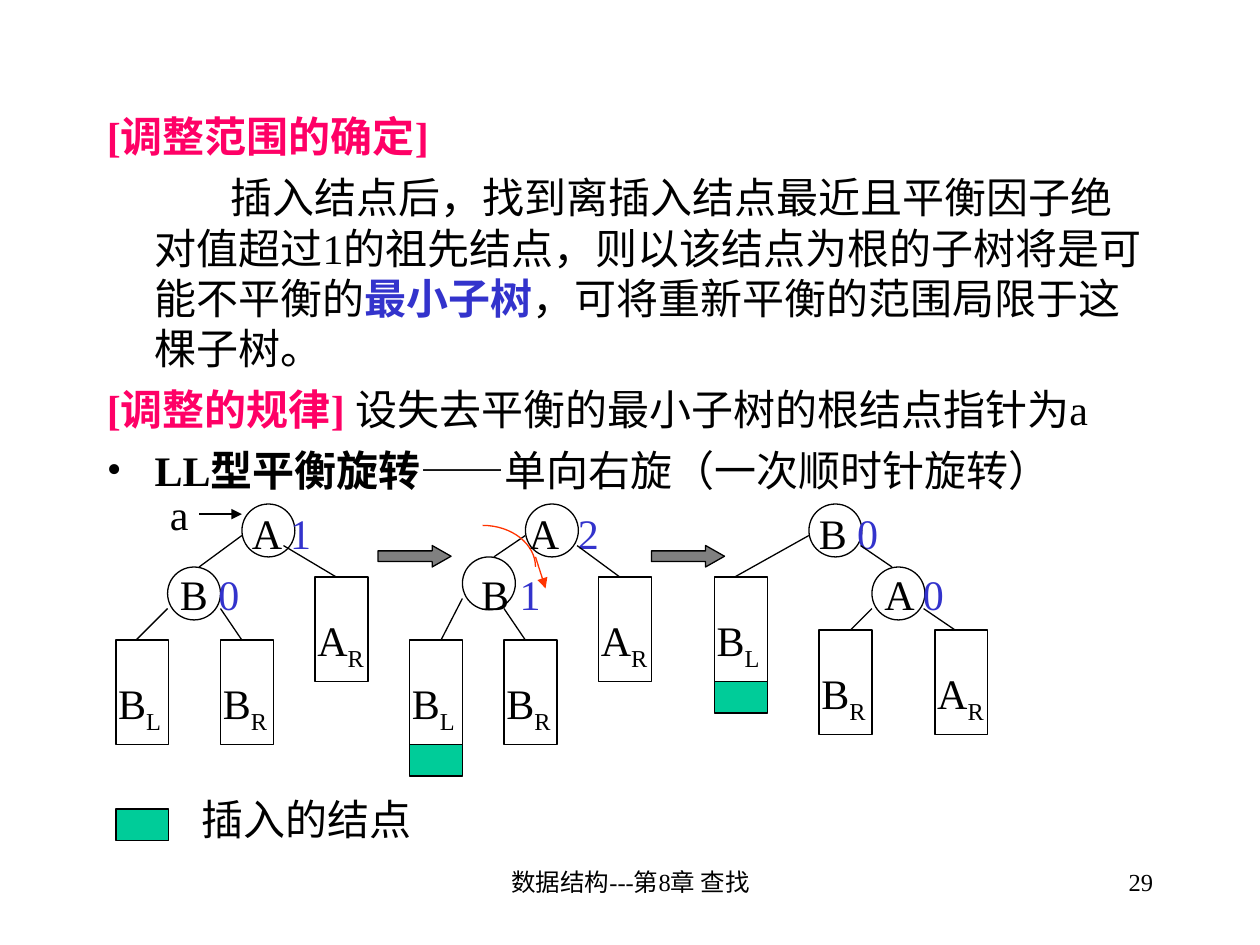
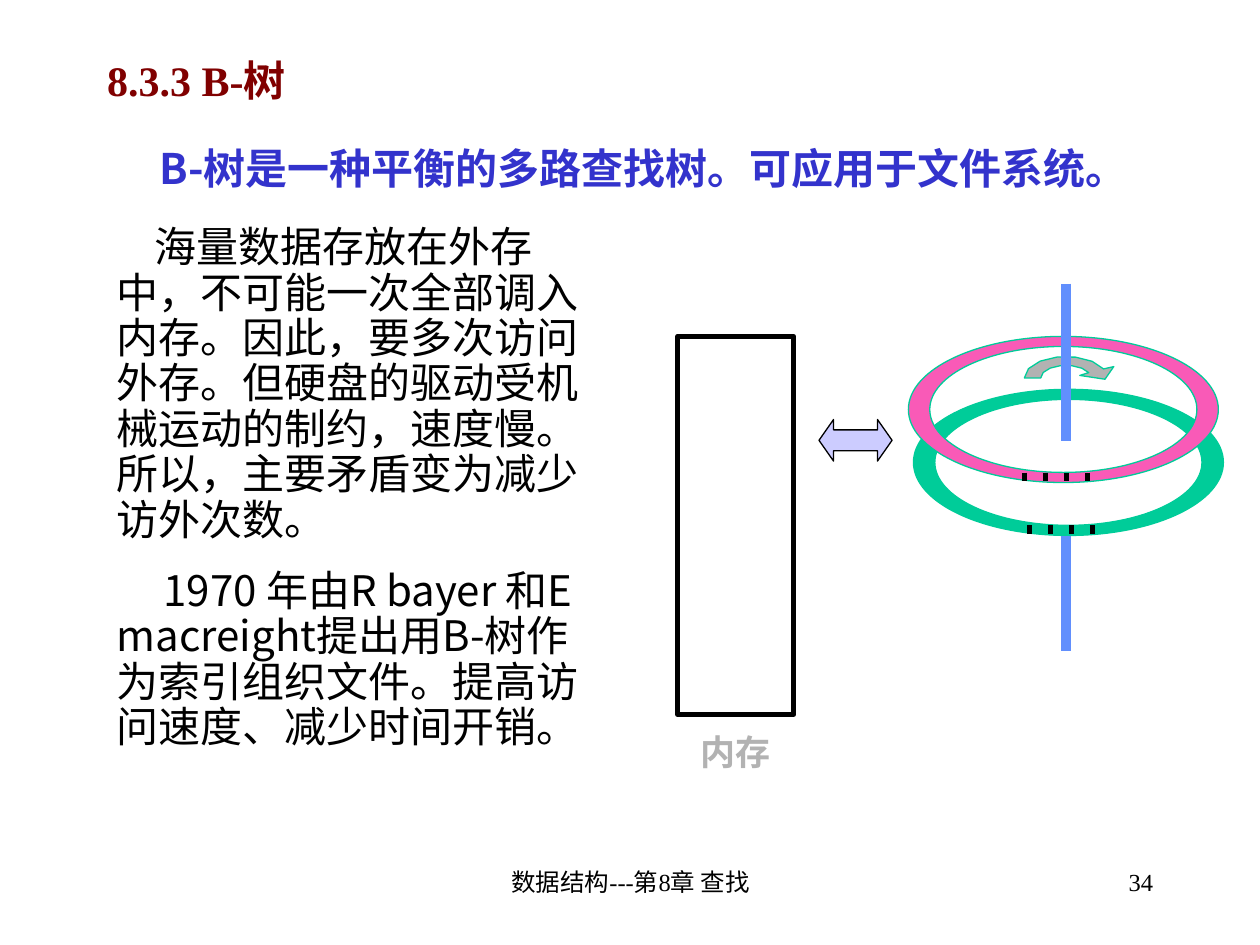
from dataclasses import dataclass
from math import cos, radians, sin

from lxml.etree import SubElement
from pptx import Presentation
from pptx.dml.color import RGBColor
from pptx.enum.shapes import MSO_CONNECTOR, MSO_SHAPE
from pptx.enum.text import MSO_ANCHOR, MSO_AUTO_SIZE, PP_ALIGN
from pptx.oxml.ns import qn
from pptx.util import Inches, Pt

COLORS = {
    "black": "000000", "white": "FFFFFF", "pink": "FF0066", "blue": "3333CC",
    "maroon": "800000", "green": "00CC99", "gray": "808080", "red": "FF3300",
    "magenta": "F95AB7", "silver": "B2B2B2", "rod": "618FFD", "lilac": "CCCCFF",
}
SERIF, SANS, ARIAL = "Times New Roman", "Noto Sans CJK SC", "Arial"
TITLE_ONLY, BLANK = 5, 6
FOOTER = "数据结构---第8章 查找"
NODE, BLOCK_H, INSERTED_H = 0.42, 0.83, 0.25
ROW_1, ROW_2 = 3.98, 4.46  # tops of the node labels
BEZIER = 0.5523  # handle length of a quarter circle


@dataclass(frozen=True)
class Run:
    text: str
    color: str = "black"
    bold: bool = False
    font: str = SERIF
    size: float = 24
    subscript: bool = False
    spacing: float = 0


@dataclass(frozen=True)
class Para:
    runs: tuple[Run, ...]
    margin: float = 0
    indent: float = 0
    before: float = 0
    line_spacing: float | None = None
    align: PP_ALIGN = PP_ALIGN.LEFT
    bullet: str = ""


@dataclass(frozen=True)
class Node:
    """A circle, with its name and balance factor written at its own place."""
    x: float
    y: float
    label_x: float
    label_y: float
    name: str
    factor: int
    spacing: float = 0


@dataclass(frozen=True)
class Block:
    """A subtree, named by its root and its side; it may have grown by a node."""
    x: float
    y: float
    root: str
    side: str
    grown: bool = False


@dataclass(frozen=True)
class Tree:
    nodes: tuple[Node, ...]
    blocks: tuple[Block, ...]
    edges: tuple[tuple[float, float, float, float], ...]


@dataclass(frozen=True)
class Disk:
    cx: float
    cy: float
    color: str


TREES = (
    Tree((Node(1.92, 4, 1.9, ROW_1, "A", 1), Node(1.33, 4.5, 1.33, ROW_2, "B", 0)),
         (Block(0.92, 5.08, "B", "L"), Block(1.75, 5.08, "B", "R"),
          Block(2.5, 4.58, "A", "R")),
         ((1.92, 4.25, 1.58, 4.5), (1.33, 4.83, 1.08, 5.08),
          (1.75, 4.83, 1.92, 5.08), (2.25, 4.33, 2.67, 4.58))),
    Tree((Node(4.17, 4, 4.1, ROW_1, "A", 2, 3), Node(3.67, 4.42, 3.72, ROW_2, "B", 1)),
         (Block(3.25, 5.08, "B", "L", True), Block(4, 5.08, "B", "R"),
          Block(4.75, 4.58, "A", "R")),
         ((4.17, 4.25, 3.92, 4.42), (3.67, 4.75, 3.5, 5.08),
          (4, 4.83, 4.17, 5.08), (4.58, 4.33, 4.92, 4.58))),
    Tree((Node(6.42, 4, 6.4, ROW_1, "B", 0), Node(6.92, 4.5, 6.92, ROW_2, "A", 0)),
         (Block(5.67, 4.58, "B", "L", True), Block(6.5, 5, "B", "R"),
          Block(7.42, 5, "A", "R")),
         ((6.42, 4.25, 5.83, 4.58), (6.83, 4.33, 7.08, 4.5),
          (6.92, 4.83, 6.75, 5), (7.33, 4.83, 7.58, 5))),
)
DISKS = (Disk(8.48, 3.67, "green"), Disk(8.44, 3.25, "magenta"))


def rgb(name: str) -> RGBColor:
    return RGBColor.from_string(COLORS[name])


def write(tf, paras: list[Para]) -> None:
    tf.word_wrap = True
    tf.auto_size = MSO_AUTO_SIZE.NONE
    for i, para in enumerate(paras):
        p = tf.add_paragraph() if i else tf.paragraphs[0]
        p.alignment = para.align
        p.space_before = Pt(para.before if i else 0)
        if para.line_spacing:
            p.line_spacing = para.line_spacing
        pPr = p._p.get_or_add_pPr()
        pPr.set("marL", str(Inches(para.margin)))
        pPr.set("indent", str(Inches(para.indent)))
        pPr.set("hangingPunct", "0")
        if para.bullet:
            SubElement(pPr, qn("a:buFont"), typeface=SERIF)
            SubElement(pPr, qn("a:buChar"), char=para.bullet)
        for run in para.runs:
            r = p.add_run()
            r.text = run.text
            r.font.name, r.font.size, r.font.bold = run.font, Pt(run.size), run.bold
            r.font.color.rgb = rgb(run.color)
            rPr = r._r.get_or_add_rPr()
            SubElement(rPr, qn("a:ea"), typeface=SANS)
            if run.subscript:
                rPr.set("baseline", "-25000")
            if run.spacing:
                rPr.set("spc", str(round(run.spacing * 100)))


def add_text(s, x: float, y: float, w: float, h: float, *paras: Para) -> None:
    sp = s.shapes.add_textbox(Inches(x), Inches(y), Inches(w), Inches(h))
    write(sp.text_frame, list(paras))


def paint(sp, fill: str | None, line: str, width: float) -> None:
    sp.shadow.inherit = False
    if fill:
        sp.fill.solid()
        sp.fill.fore_color.rgb = rgb(fill)
    else:
        sp.fill.background()
    sp.line.color.rgb = rgb(line)
    sp.line.width = Pt(width)


def add_shape(s, kind: MSO_SHAPE, x: float, y: float, w: float, h: float,
              fill: str | None = None, width: float = 0.75, head: float | None = None) -> None:
    sp = s.shapes.add_shape(kind, Inches(x), Inches(y), Inches(w), Inches(h))
    if head is not None:
        sp.adjustments[1] = head
    paint(sp, fill, "black", width)


def add_line(s, x1: float, y1: float, x2: float, y2: float,
             color: str = "black", width: float = 0.75, arrow: bool = False) -> None:
    line = s.shapes.add_connector(MSO_CONNECTOR.STRAIGHT, Inches(x1), Inches(y1),
                                  Inches(x2), Inches(y2))
    line.line.color.rgb = rgb(color)
    line.line.width = Pt(width)
    if arrow:
        SubElement(line.line._get_or_add_ln(), qn("a:tailEnd"), type="triangle")
    SubElement(line._element.spPr, qn("a:effectLst"))


def arc_points(cx: float, cy: float, rx: float, ry: float, start: int, end: int) -> list:
    """Points along an ellipse, in degrees counted anticlockwise from the right."""
    steps = 6
    angles = [radians(start + (end - start) * i / steps) for i in range(steps + 1)]
    return [(Inches(cx + rx * cos(a)), Inches(cy - ry * sin(a))) for a in angles]


def quarter_curves(cx: float, cy: float, rx: float, ry: float, quarters: int) -> list:
    """Ends and handles of quarter ellipses, clockwise from the top."""
    units = [(0, -1)]
    for i in range(quarters):
        a, b = radians(90 * i), radians(90 * (i + 1))
        units += [(sin(a) + BEZIER * cos(a), -cos(a) + BEZIER * sin(a)),
                  (sin(b) - BEZIER * cos(b), -cos(b) - BEZIER * sin(b)),
                  (sin(b), -cos(b))]
    return [(Inches(cx + rx * x), Inches(cy + ry * y)) for x, y in units]


def bend(sp) -> None:
    """Turn each three line segments into one curve."""
    lines = list(sp._element.iter(qn("a:lnTo")))
    for i in range(0, len(lines), 3):
        curve, *others = lines[i:i + 3]
        curve.tag = qn("a:cubicBezTo")
        for other in others:
            curve.append(other[0])
            other.getparent().remove(other)


def add_outline(s, contours: list[list], fill: str | None, line: str,
                close: bool = True, curved: bool = True) -> None:
    first, *others = contours
    builder = s.shapes.build_freeform(*first[0])
    builder.add_line_segments(first[1:], close=close)
    for contour in others:
        builder.move_to(*contour[0])
        builder.add_line_segments(contour[1:], close=close)
    sp = builder.convert_to_shape()
    if curved:
        bend(sp)
    paint(sp, fill, line, 0.75)


def add_footer(s, number: int) -> None:
    add_text(s, 3.42, 6.83, 3.17, 0.5, Para((Run(FOOTER, size=14),), align=PP_ALIGN.CENTER))
    add_text(s, 7.17, 6.83, 2.08, 0.5, Para((Run(str(number), size=14),), align=PP_ALIGN.RIGHT))


def add_inserted(s, x: float, y: float) -> None:
    add_shape(s, MSO_SHAPE.RECTANGLE, x, y, NODE, INSERTED_H, "green")


def add_tree(s, tree: Tree) -> None:
    for n in tree.nodes:
        add_shape(s, MSO_SHAPE.OVAL, n.x, n.y, NODE, NODE)
        add_text(s, n.label_x, n.label_y, 0.9, 0.5,
                 Para((Run(n.name + " ", spacing=n.spacing), Run(str(n.factor), "blue"))))
    for edge in tree.edges:
        add_line(s, *edge)
    for b in tree.blocks:
        add_shape(s, MSO_SHAPE.RECTANGLE, b.x, b.y, NODE, BLOCK_H)
        add_text(s, b.x - 0.08, b.y + 0.25, 0.67, 0.56,
                 Para((Run(b.root), Run(b.side, subscript=True))))
        if b.grown:
            add_inserted(s, b.x, b.y + BLOCK_H)


def add_disk(s, disk: Disk) -> None:
    rings = [quarter_curves(disk.cx, disk.cy, rx, ry, 4)
             for rx, ry in ((1.23, 0.58), (1.06, 0.5))]
    add_outline(s, rings, disk.color, "green")
    for i in range(4):
        x = disk.cx - 0.31 + i / 6
        add_line(s, x, disk.cy + 0.5, x, disk.cy + 0.57, width=3)


def build_rotation(prs) -> None:
    s = prs.slides.add_slide(prs.slide_layouts[BLANK])
    add_footer(s, 29)
    hanging = {"margin": 0.38, "indent": -0.38, "before": 6}
    add_text(
        s, 0.75, 0.83, 8.5, 3.1,
        Para((Run("[调整范围的确定]", "pink", True),), **hanging),
        Para((Run("插入结点后，找到离插入结点最近且平衡因子绝对值超过1的祖先结点，"
                  "则以该结点为根的子树将是可能不平衡的"),
              Run("最小子树", "blue", True),
              Run("，可将重新平衡的范围局限于这棵子树。")),
             margin=0.38, indent=0.6, before=6),
        Para((Run("[调整的规律] ", "pink", True),
              Run("设失去平衡的最小子树的根结点指针为a")), **hanging),
        Para((Run("LL型平衡旋转", bold=True), Run("——单向右旋（一次顺时针旋转）")),
             bullet="•", **hanging),
    )
    for tree in TREES:
        add_tree(s, tree)
    for x in (3, 5.17):
        add_shape(s, MSO_SHAPE.RIGHT_ARROW, x, 4.33, 0.58, 0.17, "gray", head=0.88)

    add_inserted(s, 0.92, 6.42)
    add_text(s, 1.5, 6.25, 2, 0.5, Para((Run("插入的结点"),)))
    add_text(s, 1.25, 3.83, 0.42, 0.5, Para((Run("a"),)))
    add_line(s, 1.58, 4.08, 1.92, 4.08, arrow=True)
    add_outline(s, [quarter_curves(3.83, 4.5, 0.42, 0.33, 1)], None, "red", close=False)
    add_line(s, 4.25, 4.42, 4.33, 4.67, "red", arrow=True)


def build_b_tree(prs) -> None:
    s = prs.slides.add_slide(prs.slide_layouts[TITLE_ONLY])
    add_footer(s, 34)
    title = s.shapes.title
    title.left, title.top = Inches(0.75), Inches(0.42)
    title.width, title.height = Inches(8.5), Inches(0.42)
    title.text_frame.vertical_anchor = MSO_ANCHOR.MIDDLE
    write(title.text_frame, [Para((Run("8.3.3 B-树", "maroon", True),))])

    add_text(s, 0.83, 1.08, 8.5, 0.83,
             Para((Run("B-树是一种平衡的多路查找树。可应用于文件系统。", "blue", True, SANS),),
                  indent=0.34))
    add_text(
        s, 0.83, 1.75, 4, 4.27,
        Para((Run("海量数据存放在外存中，不可能一次全部调入内存。因此，要多次访问外存。"
                  "但硬盘的驱动受机械运动的制约，速度慢。所以，主要矛盾变为减少访外次数。",
                  font=SANS),), indent=0.3, line_spacing=0.9),
        Para((Run("1970 年由R bayer 和E macreight提出用B-树作为索引组织文件。"
                  "提高访问速度、减少时间开销。", font=SANS),),
             indent=0.37, before=15, line_spacing=0.9),
    )

    for disk in DISKS:
        add_disk(s, disk)
    tip = [(Inches(x), Inches(y)) for x, y in ((8.84, 2.91), (8.77, 3.01), (8.57, 2.98))]
    spin = (arc_points(8.46, 3, 0.33, 0.17, 180, 25) + tip
            + arc_points(8.46, 3, 0.2, 0.1, 25, 180))
    add_outline(s, [spin], "silver", "green", curved=False)
    for top, bottom in ((2.25, 3.5), (4.25, 5.17)):
        add_line(s, 8.46, top, 8.46, bottom, "rod", 6)

    add_text(s, 5.46, 5.75, 0.92, 0.44, Para((Run("内存", "silver", True, ARIAL, 20),)))
    add_shape(s, MSO_SHAPE.RECTANGLE, 5.38, 2.67, 0.92, 3, "white", width=3)
    add_shape(s, MSO_SHAPE.LEFT_RIGHT_ARROW, 6.5, 3.33, 0.58, 0.33, "lilac", head=0.35)


def main() -> None:
    prs = Presentation()
    prs.slide_width, prs.slide_height = Inches(10), Inches(7.5)
    build_rotation(prs)
    build_b_tree(prs)
    prs.save("out.pptx")


if __name__ == "__main__":
    main()
